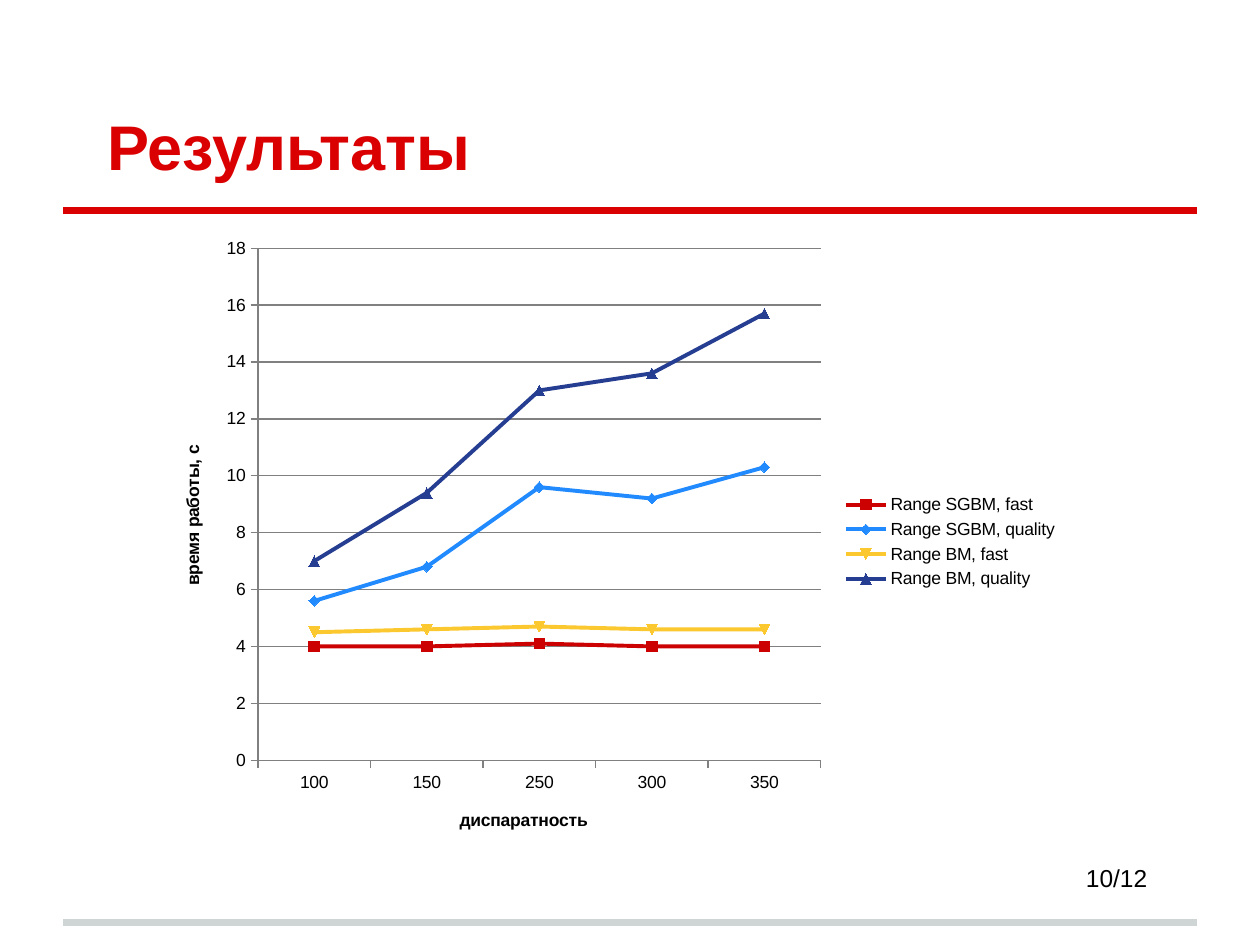
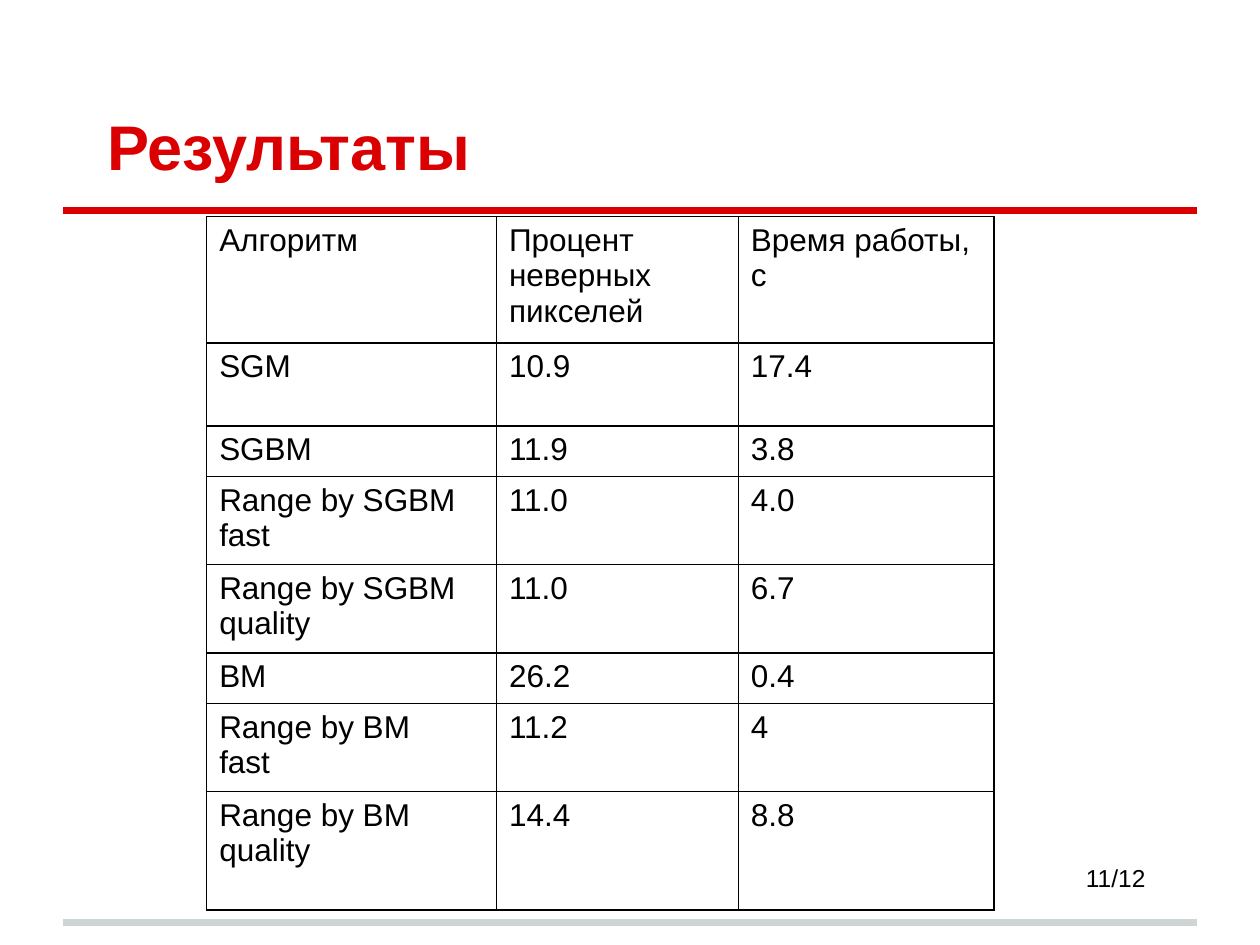
from dataclasses import dataclass

from lxml import etree
from pptx import Presentation
from pptx import util as u
from pptx.chart.data import CategoryChartData
from pptx.dml.color import RGBColor
from pptx.enum import chart as charts, shapes, text
from pptx.oxml import parse_xml
from pptx.oxml.ns import nsdecls, qn


@dataclass(frozen=True)
class Theme:
    font: str = "Arial"
    accent: str = "DA0002"
    ink: str = "000000"
    footer_line: str = "CFD4D4"
    axis_line: str = "808080"
    series: tuple = ("CC0202", "228AFF", "FBC82F", "253E91")
    title_size: int = 36
    table_size: int = 18
    page_size: int = 14
    chart_size: int = 10
    rule_width: float = 4
    series_width: float = 2.25


THEME = Theme()
WIDTH, HEIGHT = 10, 7.5
MARGIN = WIDTH / 20
TITLE_ONLY = 5
PAGE_TOTAL = 12

DISPARITIES = ("100", "150", "250", "300", "350")
RUN_TIMES = {
    "Range SGBM, fast": (4, 4, 4.1, 4, 4),
    "Range SGBM, quality": (5.6, 6.8, 9.6, 9.2, 10.3),
    "Range BM, fast": (4.5, 4.6, 4.7, 4.6, 4.6),
    "Range BM, quality": (7, 9.4, 13, 13.6, 15.7),
}

COLUMN_WIDTHS = (2.3, 1.92, 2.03)
ROW_HEIGHTS = (0.94, 0.66, 0.38, 0.66, 0.66, 0.39, 0.66, 0.94)
ALGORITHMS = (
    ("Алгоритм", "Процент неверных пикселей", "Время работы, с"),
    ("SGM", "10.9", "17.4"),
    ("SGBM", "11.9", "3.8"),
    ("Range by SGBM\nfast", "11.0", "4.0"),
    ("Range by SGBM\nquality", "11.0", "6.7"),
    ("BM", "26.2", "0.4"),
    ("Range by BM\nfast", "11.2", "4"),
    ("Range by BM\nquality", "14.4", "8.8"),
)


def color(value):
    return RGBColor.from_string(value)


def inches(*values):
    return [u.Inches(value) for value in values]


def style_font(font, size, ink=THEME.ink, bold=False):
    font.name = THEME.font
    font.size = u.Pt(size)
    font.bold = bold
    font.color.rgb = color(ink)


def add_rule(slide, top, ink):
    """Draw a horizontal band between the side margins."""
    rule = slide.shapes.add_connector(
        shapes.MSO_CONNECTOR.STRAIGHT, *inches(MARGIN, top, WIDTH - MARGIN, top))
    rule.line.color.rgb = color(ink)
    rule.line.width = u.Pt(THEME.rule_width)
    etree.SubElement(rule._element.spPr, qn("a:effectLst"))


def add_page_number(slide, number):
    box = slide.shapes.add_textbox(*inches(8.52, 6.8, 0.86, 0.34))
    box.text_frame.word_wrap = True
    para = box.text_frame.paragraphs[0]
    para.text = f"{number}/{PAGE_TOTAL}"
    style_font(para.font, THEME.page_size)


def set_title(slide, wording):
    title = slide.shapes.title
    title.left, title.top, title.width, title.height = inches(
        MARGIN, 0.3, WIDTH - 2 * MARGIN, 1.25)
    frame = title.text_frame
    frame.auto_size = text.MSO_AUTO_SIZE.NONE
    frame.vertical_anchor = text.MSO_ANCHOR.BOTTOM
    frame.margin_left = u.Inches(0.35)
    frame.margin_top = frame.margin_right = frame.margin_bottom = u.Inches(0.1)
    para = frame.paragraphs[0]
    para.text = wording
    para.alignment = text.PP_ALIGN.LEFT
    style_font(para.font, THEME.title_size, THEME.accent, bold=True)


def add_result_slide(deck, number):
    slide = deck.slides.add_slide(deck.slide_layouts[TITLE_ONLY])
    add_rule(slide, 7.32, THEME.footer_line)
    add_page_number(slide, number)
    add_rule(slide, 1.67, THEME.accent)
    set_title(slide, "Результаты")
    return slide


def style_axis(axis, caption):
    axis.has_title = True
    para = axis.axis_title.text_frame.paragraphs[0]
    para.text = caption
    style_font(para.font, THEME.chart_size, bold=True)
    axis.major_tick_mark = charts.XL_TICK_MARK.OUTSIDE
    axis.minor_tick_mark = charts.XL_TICK_MARK.NONE
    axis.format.line.color.rgb = color(THEME.axis_line)


def place_plot(chart, **shares):
    """Fix the inner plot area, given as shares of the chart's size."""
    area = chart._chartSpace.chart.plotArea
    for layout in area.findall(qn("c:layout")):
        area.remove(layout)
    sizes = "".join(f'<c:{key} val="{share}"/>' for key, share in shares.items())
    area.insert(0, parse_xml(
        f'<c:layout {nsdecls("c")}><c:manualLayout><c:layoutTarget val="inner"/>'
        f'<c:xMode val="edge"/><c:yMode val="edge"/>{sizes}'
        "</c:manualLayout></c:layout>"))


def add_time_chart(slide):
    data = CategoryChartData()
    data.categories = DISPARITIES
    for name, values in RUN_TIMES.items():
        data.add_series(name, values)
    chart = slide.shapes.add_chart(
        charts.XL_CHART_TYPE.LINE_MARKERS, *inches(1.25, 1.8, 7.25, 5), data).chart
    style_font(chart.font, THEME.chart_size)
    chart.has_title = False
    chart.has_legend = True
    chart.legend.position = charts.XL_LEGEND_POSITION.RIGHT
    chart.legend.include_in_layout = False
    chart.plots[0].vary_by_categories = False

    style_axis(chart.category_axis, "диспаратность")
    scale = chart.value_axis
    style_axis(scale, "время работы, с")
    scale.minimum_scale, scale.maximum_scale, scale.major_unit = 0, 18, 2
    scale.has_major_gridlines = True
    scale.major_gridlines.format.line.color.rgb = color(THEME.axis_line)
    place_plot(chart, x=0.11, y=0.034, w=0.616, h=0.813)

    for series, ink in zip(chart.plots[0].series, THEME.series):
        series.smooth = False
        series.format.line.color.rgb = color(ink)
        series.format.line.width = u.Pt(THEME.series_width)
        series.marker.size = 6
        series.marker.format.fill.solid()
        series.marker.format.fill.fore_color.rgb = color(ink)
        series.marker.format.line.color.rgb = color(ink)


def add_borders(cell):
    properties = cell._tc.get_or_add_tcPr()
    for position, side in enumerate("LRTB"):
        properties.insert(position, parse_xml(
            f'<a:ln{side} {nsdecls("a")} w="{u.Pt(1)}"><a:solidFill>'
            f'<a:srgbClr val="{THEME.ink}"/></a:solidFill></a:ln{side}>'))


def add_algorithm_table(slide):
    table = slide.shapes.add_table(
        len(ROW_HEIGHTS), len(COLUMN_WIDTHS),
        *inches(1.64, 1.72, sum(COLUMN_WIDTHS), sum(ROW_HEIGHTS))).table
    table.first_row = table.horz_banding = False
    for column, width in zip(table.columns, COLUMN_WIDTHS):
        column.width = u.Inches(width)
    for row, height, wordings in zip(table.rows, ROW_HEIGHTS, ALGORITHMS):
        row.height = u.Inches(height)
        for cell, wording in zip(row.cells, wordings):
            cell.text = wording
            cell.fill.background()
            add_borders(cell)
            for para in cell.text_frame.paragraphs:
                style_font(para.font, THEME.table_size)


def main():
    deck = Presentation()
    deck.slide_width, deck.slide_height = inches(WIDTH, HEIGHT)
    add_time_chart(add_result_slide(deck, 10))
    add_algorithm_table(add_result_slide(deck, 11))
    deck.save("out.pptx")


if __name__ == "__main__":
    main()
